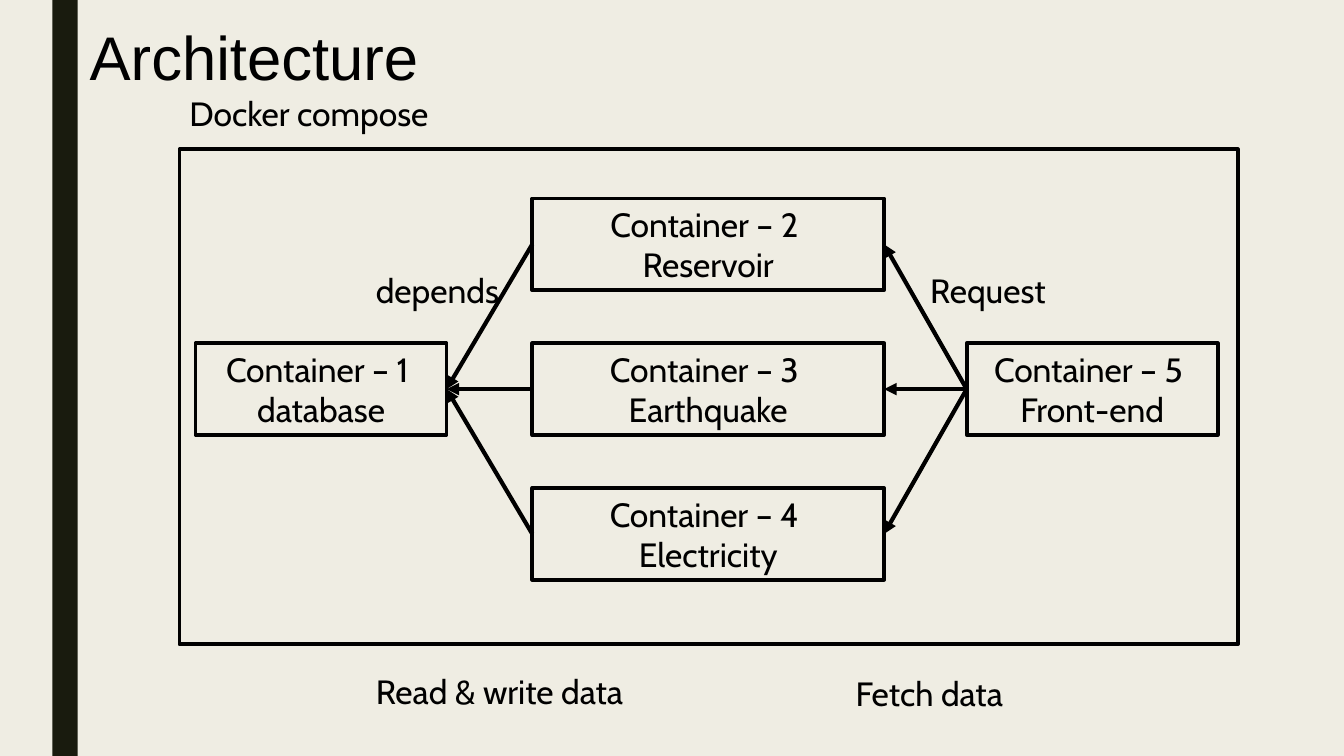
import pptx
import pptx.util
import pptx.dml.color
import pptx.enum.shapes
import pptx.enum.text
import lxml.etree
from pptx.oxml.ns import qn

Pt = pptx.util.Pt
ALIGN = pptx.enum.text.PP_ALIGN
ANCHOR = pptx.enum.text.MSO_ANCHOR
SHAPE = pptx.enum.shapes.MSO_SHAPE

COLOURS = {"background": "EFEDE3", "bar": "191B0E", "ink": "000000"}
TITLE_FONT = {"name": "Arial", "size": Pt(44)}
BODY_FONT = {"name": "Cabin", "size": Pt(24)}

LEFT_SITE, RIGHT_SITE = 1, 3
BOX_HEIGHT = 65.5
SERVICE_LEFT, SERVICE_WIDTH = 380.2, 251.3
SERVICE_TOP, SERVICE_PITCH = 141.8, 103.4
MIDDLE_TOP = SERVICE_TOP + SERVICE_PITCH
END_WIDTH = 179.3
SERVICES = ["Reservoir", "Earthquake", "Electricity"]

LABELS = [
    ("Docker compose", 128.2, 62.6),
    ("depends", 261.4, 189.4),
    ("Request", 657.4, 189.4),
    ("Read & write data", 261.4, 475.9),
    ("Fetch data", 604.1, 477.4),
]


def colour(name):
    return pptx.dml.color.RGBColor.from_string(COLOURS[name])


def write_lines(text_frame, lines, font_format, alignment=ALIGN.LEFT):
    text_frame.word_wrap = True
    text_frame.text = "\n".join(lines)
    for paragraph in text_frame.paragraphs:
        paragraph.alignment = alignment
        for attribute, value in font_format.items():
            setattr(paragraph.font, attribute, value)
        paragraph.font.color.rgb = colour("ink")


def add_rectangle(slide, left, top, width, height):
    shape = slide.shapes.add_shape(
        SHAPE.RECTANGLE, Pt(left), Pt(top), Pt(width), Pt(height))
    shape.shadow.inherit = False
    return shape


def add_bar(slide, left, width, height):
    bar = add_rectangle(slide, left, 0, width, height)
    bar.fill.solid()
    bar.fill.fore_color.rgb = colour("bar")
    bar.line.fill.background()


def add_outline(slide, left, top, width, height):
    outline = add_rectangle(slide, left, top, width, height)
    outline.fill.background()
    outline.line.color.rgb = colour("ink")
    outline.line.width = Pt(2.75)
    return outline


def add_container(slide, number, role, left, top, width):
    container = add_outline(slide, left, top, width, BOX_HEIGHT)
    container.text_frame.vertical_anchor = ANCHOR.MIDDLE
    # The space after the number shifts the centred line slightly left.
    write_lines(container.text_frame, [f"Container – {number} ", role],
                BODY_FONT, ALIGN.CENTER)
    return container


def add_arrow(slide, source, target):
    """Join the left side of source to the right side of target."""
    arrow = slide.shapes.add_connector(
        pptx.enum.shapes.MSO_CONNECTOR.STRAIGHT, 0, 0, 0, 0)
    arrow.begin_connect(source, LEFT_SITE)
    arrow.end_connect(target, RIGHT_SITE)
    arrow.line.color.rgb = colour("ink")
    arrow.line.width = Pt(3)
    line = arrow.line._get_or_add_ln()
    lxml.etree.SubElement(line, qn("a:tailEnd"), type="triangle")
    lxml.etree.SubElement(arrow._element.spPr, qn("a:effectLst"))


def add_label(slide, text, left, top):
    label = slide.shapes.add_textbox(Pt(left), Pt(top), Pt(208.8), Pt(36))
    write_lines(label.text_frame, [text], BODY_FONT)


def set_title(slide, text):
    title = slide.shapes.title
    place = {"left": 56.9, "top": 16.6, "width": 756, "height": 116.6}
    for attribute, value in place.items():
        setattr(title, attribute, Pt(value))
    title.text_frame.vertical_anchor = ANCHOR.TOP
    write_lines(title.text_frame, [text], TITLE_FONT)
    title.text_frame.paragraphs[0].line_spacing = 0.89


def main():
    presentation = pptx.Presentation()
    presentation.slide_width = Pt(960)
    presentation.slide_height = Pt(540)
    slide = presentation.slides.add_slide(presentation.slide_layouts[5])
    slide.background.fill.solid()
    slide.background.fill.fore_color.rgb = colour("background")

    add_bar(slide, 37.4, 18, 540)
    set_title(slide, "Architecture")
    add_outline(slide, 128.2, 106.6, 756, 353.5)

    database = add_container(slide, 1, "database", 139.7, MIDDLE_TOP, END_WIDTH)
    services = [
        add_container(slide, index + 2, role, SERVICE_LEFT,
                      SERVICE_TOP + index * SERVICE_PITCH, SERVICE_WIDTH)
        for index, role in enumerate(SERVICES)
    ]
    front_end = add_container(slide, 5, "Front-end", 690.5, MIDDLE_TOP, END_WIDTH)

    for service in services:
        add_arrow(slide, service, database)
        add_arrow(slide, front_end, service)
    for text, left, top in LABELS:
        add_label(slide, text, left, top)

    presentation.save("out.pptx")


if __name__ == "__main__":
    main()
